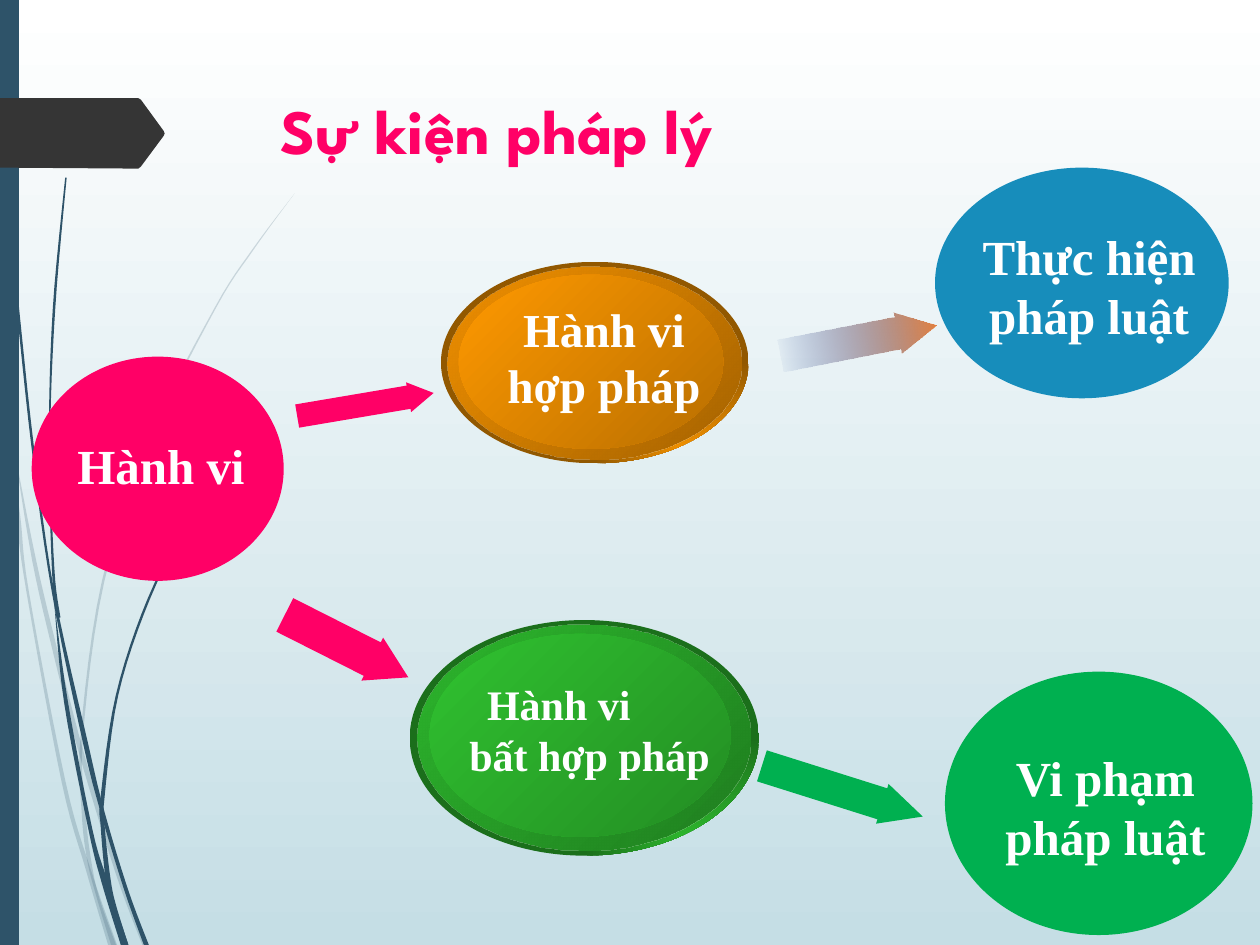
"""Build the slide on legal events: acts, their two kinds and their outcomes."""
from lxml.etree import SubElement
from pptx import Presentation
from pptx.dml.color import RGBColor
from pptx.enum.shapes import MSO_SHAPE
from pptx.enum.text import PP_ALIGN
from pptx.oxml.ns import qn
from pptx.util import Cm, Pt

WHITE = RGBColor(0xFF, 0xFF, 0xFF)
MIST = RGBColor(0xC5, 0xDE, 0xE5)
NAVY = RGBColor(0x2E, 0x53, 0x69)
CHARCOAL = RGBColor(0x35, 0x35, 0x35)
PINK = RGBColor(0xFF, 0x00, 0x66)
BLUE = RGBColor(0x17, 0x8D, 0xBB)
GREEN = RGBColor(0x00, 0xB0, 0x50)
COPPER = RGBColor(0xEC, 0x82, 0x3A)
INDIGO = RGBColor(0x00, 0x33, 0x99)
ORANGE = RGBColor(0xFF, 0x99, 0x00)
ORANGE_SHADES = [RGBColor(0x92, 0x58, 0x00), RGBColor(0xA2, 0x61, 0x00), RGBColor(0xB9, 0x6F, 0x00)]
LIME = RGBColor(0x30, 0xC2, 0x30)
LIME_SHADES = [RGBColor(0x1B, 0x6F, 0x1B), RGBColor(0x1F, 0x7B, 0x1F), RGBColor(0x23, 0x8D, 0x23)]


def paint(shape, colors, alphas=(100, 100), angle=0):
    shape.shadow.inherit = False
    shape.line.fill.background()
    if len(colors) == 1:
        shape.fill.solid()
        shape.fill.fore_color.rgb = colors[0]
    else:
        shape.fill.gradient()
        shape.fill.gradient_angle = angle
        for stop, color, position in zip(shape.fill.gradient_stops, colors, (0, 1)):
            stop.color.rgb = color
            stop.position = position
    for color, alpha in zip(shape._element.spPr.iter(qn("a:srgbClr")), alphas):
        if alpha < 100:
            SubElement(color, qn("a:alpha"), val=str(alpha * 1000))


def smooth(points, steps=6):
    padded = [points[0], *points, points[-1]]
    curve = []
    for a, b, c, d in zip(padded, padded[1:], padded[2:], padded[3:]):
        for step in range(steps):
            t = step / steps
            curve.append([
                (2 * q + (r - p) * t + (2 * p - 5 * q + 4 * r - s) * t ** 2
                 + (3 * q - p - 3 * r + s) * t ** 3) / 2
                for p, q, r, s in zip(a, b, c, d)
            ])
    return curve + [points[-1]]


presentation = Presentation()
presentation.slide_width = Cm(25.4)
presentation.slide_height = Cm(19.05)
slide = presentation.slides.add_slide(presentation.slide_layouts[6])
shapes = slide.shapes

background = slide.background.fill
background.gradient()
background.gradient_angle = 270
for stop, color, position in zip(background.gradient_stops, (WHITE, MIST), (0, 1)):
    stop.color.rgb = color
    stop.position = position

stems = [
    (20, [(0.28, 9.02, 0), (0.69, 11.3, 0.08), (1.14, 13.23, 0.1), (1.63, 15.14, 0.1),
          (2.37, 17.6, 0.08), (2.91, 19.05, 0.08)]),
    (20, [(0.2, 8.89, 0), (0.37, 10.41, 0.08), (0.56, 11.94, 0.05), (1.28, 15.75, 0.08),
          (1.78, 17.53, 0.1), (2.27, 19.05, 0.18)]),
    (20, [(5.94, 3.9, 0), (5.11, 5.02, 0.03), (4.34, 6.21, 0.03), (3.02, 8.85, 0.05),
          (2.08, 11.72, 0.05), (1.65, 14.83, 0.05), (1.69, 16.4, 0.08), (1.8, 17.35, 0.08),
          (1.98, 18.11, 0.05), (2.29, 19.05, 0.1)]),
    (100, [(0.33, 5.92, 0.05), (0.66, 9.02, 0.05), (1.07, 11.94, 0.05), (1.73, 15.01, 0.1),
           (2.07, 16.38, 0.08), (2.55, 17.96, 0.08), (2.95, 19.05, 0.1)]),
    (100, [(1.09, 12.12, 0), (1.33, 14.15, 0.08), (1.82, 16.71, 0.08), (2.11, 17.78, 0.13),
           (2.51, 19.05, 0.15)]),
    (100, [(1.33, 3.58, 0.03), (1.09, 6.22, 0.05), (1, 8.86, 0.03), (1.07, 11.43, 0.05),
           (1.18, 12.45, 0.08)]),
    (100, [(4.97, 8.74, 0.03), (4.39, 9.49, 0.03), (3.89, 10.3, 0.03), (3, 12.07, 0.05),
           (2.36, 14.01, 0.05), (2.07, 16.05, 0.08), (2.07, 16.66, 0.08), (2.18, 17.73, 0.1),
           (2.31, 18.29, 0.08), (2.54, 19.05, 0.1)]),
]
tag = [(0, 1.98), (2.79, 1.98), (2.84, 2.01), (3.3, 2.64), (3.32, 2.69), (3.3, 2.74),
       (2.84, 3.36), (2.79, 3.4), (0, 3.38)]
outlines = []
for alpha, points in stems:
    curve = smooth(points)
    left_edge = [(x - width / 2, y) for x, y, width in curve]
    right_edge = [(x + width / 2, y) for x, y, width in reversed(curve)]
    outlines.append((left_edge + right_edge, NAVY, alpha))
outlines.append((tag, CHARCOAL, 100))

for outline, color, alpha in outlines:
    if outline is tag:
        side_bar = shapes.add_shape(MSO_SHAPE.RECTANGLE, Cm(0), Cm(0), Cm(0.38), Cm(19.05))
        paint(side_bar, [NAVY])
    vertices = [(Cm(x), Cm(y)) for x, y in outline]
    builder = shapes.build_freeform(*vertices[0])
    builder.add_line_segments(vertices[1:], close=True)
    paint(builder.convert_to_shape(), [color], [alpha])

plain_ellipses = [
    ((0.64, 7.19, 5.08, 4.52), PINK),
    ((18.85, 3.38, 5.92, 4.65), BLUE),
    ((19.05, 13.54, 6.2, 5.31), GREEN),
]
for box, color in plain_ellipses:
    paint(shapes.add_shape(MSO_SHAPE.OVAL, *map(Cm, box)), [color])

buttons = [
    (ORANGE, ORANGE_SHADES,
     [(8.89, 5.28, 6.2, 4.06), (9.02, 5.38, 5.92, 3.89), (9.25, 5.54, 5.33, 3.51)]),
    (LIME, LIME_SHADES,
     [(8.26, 12.5, 7.04, 4.75), (8.41, 12.6, 6.71, 4.55), (8.66, 12.78, 6.07, 4.09)]),
]
for light, shades, boxes in buttons:
    for box, shade, alpha in zip(boxes, shades, (100, 85, 100)):
        ellipse = shapes.add_shape(MSO_SHAPE.OVAL, *map(Cm, box))
        paint(ellipse, [light, shade], [alpha, 100], 315)
        if box is boxes[0]:
            gradient = ellipse._element.spPr.find(qn("a:gradFill"))
            gradient.remove(gradient.find(qn("a:lin")))
            path_element = SubElement(gradient, qn("a:path"), {"path": "rect"})
            SubElement(path_element, qn("a:fillToRect"), l="100000", t="100000")

arrows = [
    ((7.06, 6.76, 0.61, 2.79), 80.4, 0.84, [PINK], [100]),
    ((6.5, 11.63, 0.97, 2.79), 116.8, 0.84, [PINK], [100]),
    ((16.89, 5.26, 0.84, 3.2), 79, 0.96, [COPPER, INDIGO], [100, 0]),
    ((16.56, 14.25, 0.84, 3.4), 107.5, 1.02, [GREEN], [100]),
]
for box, rotation, head, colors, alphas in arrows:
    arrow = shapes.add_shape(MSO_SHAPE.UP_ARROW, *map(Cm, box))
    arrow.rotation = rotation
    arrow.adjustments[0] = 0.78
    arrow.adjustments[1] = head
    paint(arrow, colors, alphas, 270)

label = {"name": "Times New Roman", "bold": True}
title = {"name": "League Spartan", "bold": True}
texts = [
    ((1.3, 8.66, 3.89, 1.45), ["Hành vi"], 28, WHITE, label),
    ((9.98, 5.92, 4.39, 2.57), ["Hành vi hợp pháp"], 27, WHITE, label),
    ((8.89, 13.56, 5.99, 2.31), ["Hành vi", "bất hợp pháp"], 24, WHITE, label),
    ((19.25, 4.45, 5.41, 2.62), ["Thực hiện pháp luật"], 28, WHITE, label),
    ((19.58, 14.94, 5.41, 2.62), ["Vi phạm pháp luật"], 28, WHITE, label),
    ((5.41, 1.73, 18.57, 3.56), ["Sự kiện pháp lý"], 36, PINK, title),
]
for box, lines, size, color, text_format in texts:
    text_frame = shapes.add_textbox(*map(Cm, box)).text_frame
    text_frame.word_wrap = True
    text_frame.text = "\n".join(lines)
    for paragraph in text_frame.paragraphs:
        paragraph.alignment = PP_ALIGN.LEFT if text_format is title else PP_ALIGN.CENTER
        for run in paragraph.runs:
            run.font.size = Pt(size)
            run.font.color.rgb = color
            for name, value in text_format.items():
                setattr(run.font, name, value)
    if len(lines) > 1:
        first_line = text_frame.paragraphs[0]
        first_line.alignment = PP_ALIGN.LEFT
        first_line._p.get_or_add_pPr().set("marL", str(Cm(0.68)))

presentation.save("out.pptx")
